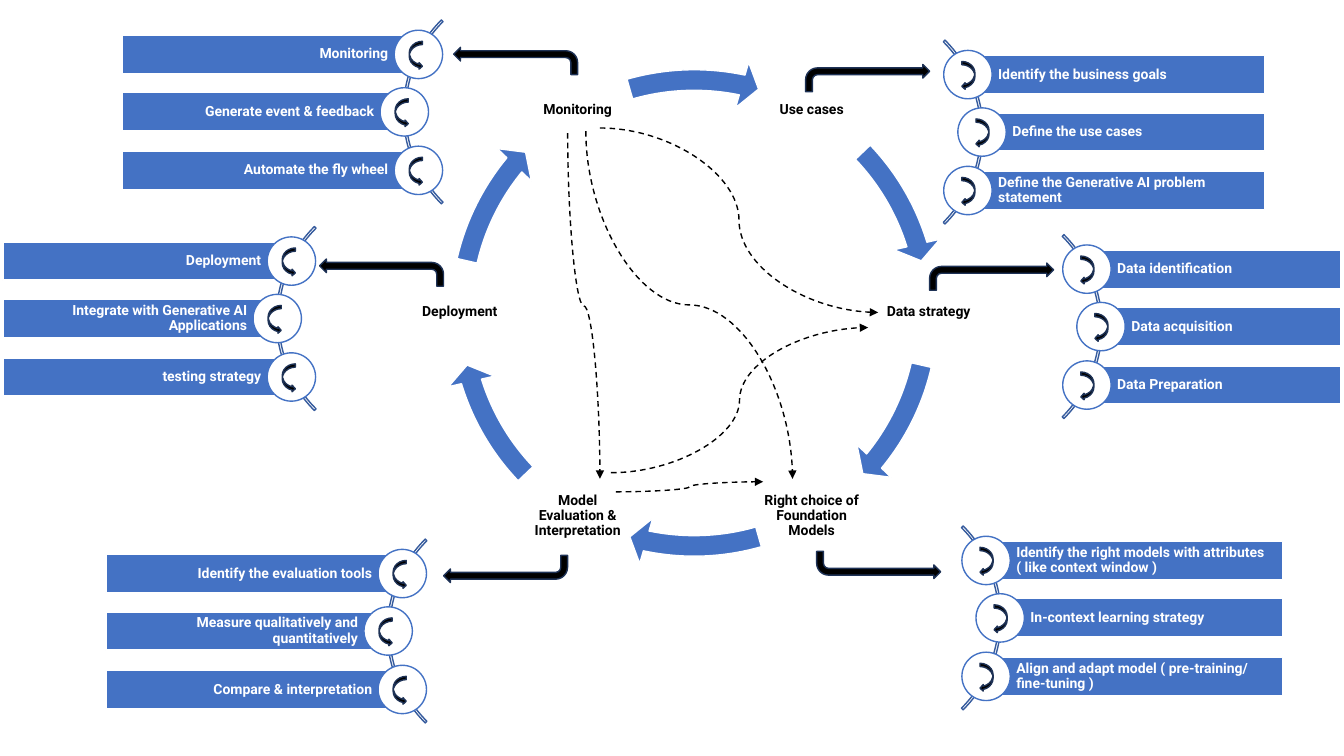
from dataclasses import dataclass

from lxml.etree import SubElement
from pptx import Presentation
from pptx.dml.color import RGBColor
from pptx.enum.dml import MSO_LINE
from pptx.enum.shapes import MSO_CONNECTOR, MSO_SHAPE as Preset
from pptx.enum.text import MSO_ANCHOR, PP_ALIGN as Align
from pptx.oxml.ns import qn
from pptx.shapes.autoshape import Shape
from pptx.slide import Slide
from pptx.util import Pt

EMU_PER_PX = 9144  # 100 px to the inch


@dataclass(frozen=True)
class Theme:
    font: str = "Roboto"
    size: int = 10
    line_width: int = 1
    blue: str = "4472C4"
    arc: str = "365B9D"
    edge: str = "1E3256"
    black: str = "000000"
    white: str = "FFFFFF"


@dataclass(frozen=True)
class Stage:
    """One label on the cycle, and the two angles of the arrow after it."""
    label: str
    left: int
    top: int
    arrow_end: float
    arrow_start: float


@dataclass(frozen=True)
class Panel:
    """Three bars running from the circles (inner) to the far edge (outer)."""
    inner: int
    outer: int
    top: int
    steps: tuple[str, str, str]


@dataclass(frozen=True)
class Pointer:
    left: int
    top: int
    flip: str = ""


@dataclass(frozen=True)
class Feedback:
    start: tuple[int, int]
    end: tuple[int, int]
    vertical: bool = False


THEME = Theme()
STAGES = (
    Stage("Use cases", 753, 57, 205.744, 189.817),
    Stage("Data strategy", 869, 258, 23.683, 7.756),
    Stage("Right choice of Foundation Models", 753, 460, 61.124, 44.376),
    Stage("Model Evaluation & Interpretation", 521, 460, 97.744, 81.817),
    Stage("Deployment", 404, 258, 131.683, 115.756),
    Stage("Monitoring", 521, 57, 169.124, 152.376),
)
PANELS = (
    Panel(960, 1254, 55, ("Identify the business goals", "Define the use cases",
                          "Define the Generative AI problem statement")),
    Panel(1078, 1330, 248, ("Data identification", "Data acquisition", "Data Preparation")),
    Panel(415, 121, 35, ("Monitoring", "Generate event & feedback", "Automate the fly wheel")),
    Panel(399, 105, 550, ("Identify the evaluation tools",
                          "Measure qualitatively and quantitatively",
                          "Compare & interpretation")),
    Panel(978, 1272, 537, ("Identify the right models with attributes ( like context window )",
                           "In-context learning strategy",
                           "Align and adapt model ( pre-training/ fine-tuning )")),
    Panel(289, 3, 240, ("Deployment", "Integrate with Generative AI Applications",
                        "testing strategy")),
)
POINTERS = (
    Pointer(799, 64), Pointer(922, 261), Pointer(810, 547, "V"),
    Pointer(440, 551, "HV"), Pointer(317, 257, "H"), Pointer(450, 47, "H"),
)
FEEDBACKS = (
    Feedback((595, 127), (871, 310)),
    Feedback((581, 130), (786, 475), vertical=True),
    Feedback((606, 469), (861, 325)),
    Feedback((563, 132), (595, 475), vertical=True),
    Feedback((611, 488), (757, 478)),
)


def px(value: float) -> int:
    return round(value * EMU_PER_PX)


def apply(target: object, values: dict) -> None:
    for name, value in values.items():
        setattr(target, name, value)


def flip(item: object, axes: str) -> None:
    xfrm = item._element.spPr.find(qn("a:xfrm"))
    for axis in axes:
        xfrm.set(f"flip{axis}", "1")


def add_preset(page: Slide, preset: Preset, box: tuple[int, int, int, int],
               fill: str | None, line: str, adjust: tuple[float, ...] = (),
               axes: str = "") -> Shape:
    shape = page.shapes.add_shape(preset, *map(px, box))
    shape.shadow.inherit = False
    if fill:
        shape.fill.solid()
        shape.fill.fore_color.rgb = RGBColor.from_string(fill)
    else:
        shape.fill.background()
    shape.line.color.rgb = RGBColor.from_string(line)
    shape.line.width = Pt(THEME.line_width)
    for index, value in enumerate(adjust):
        shape.adjustments[index] = value
    flip(shape, axes)
    return shape


def write(shape: Shape, text: str, color: str, align: Align,
          margins: tuple[int, int, int, int]) -> None:
    frame = shape.text_frame
    sides = ("margin_left", "margin_top", "margin_right", "margin_bottom")
    apply(frame, {"word_wrap": True, "vertical_anchor": MSO_ANCHOR.MIDDLE,
                  **dict(zip(sides, map(px, margins)))})
    para = frame.paragraphs[0]
    apply(para, {"alignment": align, "line_spacing": 0.9})
    span = para.add_run()
    span.text = text
    apply(span.font, {"name": THEME.font, "size": Pt(THEME.size), "bold": True})
    span.font.color.rgb = RGBColor.from_string(color)


def draw_stage(page: Slide, stage: Stage) -> None:
    box = page.shapes.add_textbox(*map(px, (stage.left, stage.top, 104, 104)))
    write(box, stage.label, THEME.black, Align.CENTER, (1, 1, 1, 1))
    add_preset(page, Preset.CIRCULAR_ARROW, (434, 56, 509, 509), THEME.blue, THEME.white,
               (0.04, 2.5, stage.arrow_end, stage.arrow_start, 0.046))


def draw_panel(page: Slide, panel: Panel) -> None:
    faces_right = panel.outer > panel.inner
    if faces_right:
        arc_left, angles, shift, turn = panel.inner - 243, (189, 27), 14, -6
        align, margins, axes = Align.LEFT, (30, 3, 3, 3), ""
    else:
        arc_left, angles, shift, turn = panel.inner - 15, (81, 135), -14, -9
        align, margins, axes = Align.RIGHT, (3, 3, 30, 3), "H"
    add_preset(page, Preset.BLOCK_ARC, (arc_left, panel.top - 53, 258, 258),
               None, THEME.arc, (*angles, 0.009))
    for row, step in enumerate(panel.steps):
        top = panel.top + row * 115 // 2
        inner = panel.inner + (shift if row == 1 else 0)
        bar = add_preset(page, Preset.RECTANGLE,
                         (min(inner, panel.outer), top, abs(panel.outer - inner), 38),
                         THEME.blue, THEME.white)
        write(bar, step, THEME.white, align, margins)
        add_preset(page, Preset.OVAL, (inner - 24, top - 5, 48, 48), THEME.white, THEME.blue)
        add_preset(page, Preset.CURVED_LEFT_ARROW, (inner + turn, top + 6, 13, 28),
                   THEME.black, THEME.edge, axes=axes)


def draw_feedback(page: Slide, feedback: Feedback) -> None:
    (x1, y1), (x2, y2) = feedback.start, feedback.end
    if feedback.vertical:  # lay the curve flat about its centre, then turn it
        center_x, center_y = (x1 + x2) / 2, (y1 + y2) / 2
        half_width, half_height = (y2 - y1) / 2, (x2 - x1) / 2
        x1, x2 = center_x - half_width, center_x + half_width
        y1, y2 = center_y - half_height, center_y + half_height
    curve = page.shapes.add_connector(MSO_CONNECTOR.CURVE, *map(px, (x1, y1, x2, y2)))
    if feedback.vertical:
        curve.rotation = 270
        flip(curve, "H")
    curve.line.color.rgb = RGBColor.from_string(THEME.black)
    apply(curve.line, {"width": Pt(THEME.line_width), "dash_style": MSO_LINE.DASH})
    properties = curve._element.spPr
    SubElement(properties.find(qn("a:ln")), qn("a:tailEnd"), type="triangle")
    SubElement(properties, qn("a:effectLst"))


def main() -> None:
    deck = Presentation()
    apply(deck, {"slide_width": px(1333), "slide_height": px(750)})
    page = deck.slides.add_slide(deck.slide_layouts[6])

    # Cycle of stages
    for stage in STAGES:
        draw_stage(page, stage)
    # Step panels around the cycle
    for panel in PANELS:
        draw_panel(page, panel)
    # Bent arrows from stages to panels
    for pointer in POINTERS:
        add_preset(page, Preset.BENT_ARROW, (pointer.left, pointer.top, 123, 27),
                   THEME.black, THEME.edge, axes=pointer.flip)
    # Dashed feedback curves
    for feedback in FEEDBACKS:
        draw_feedback(page, feedback)

    deck.save("out.pptx")


if __name__ == "__main__":
    main()
